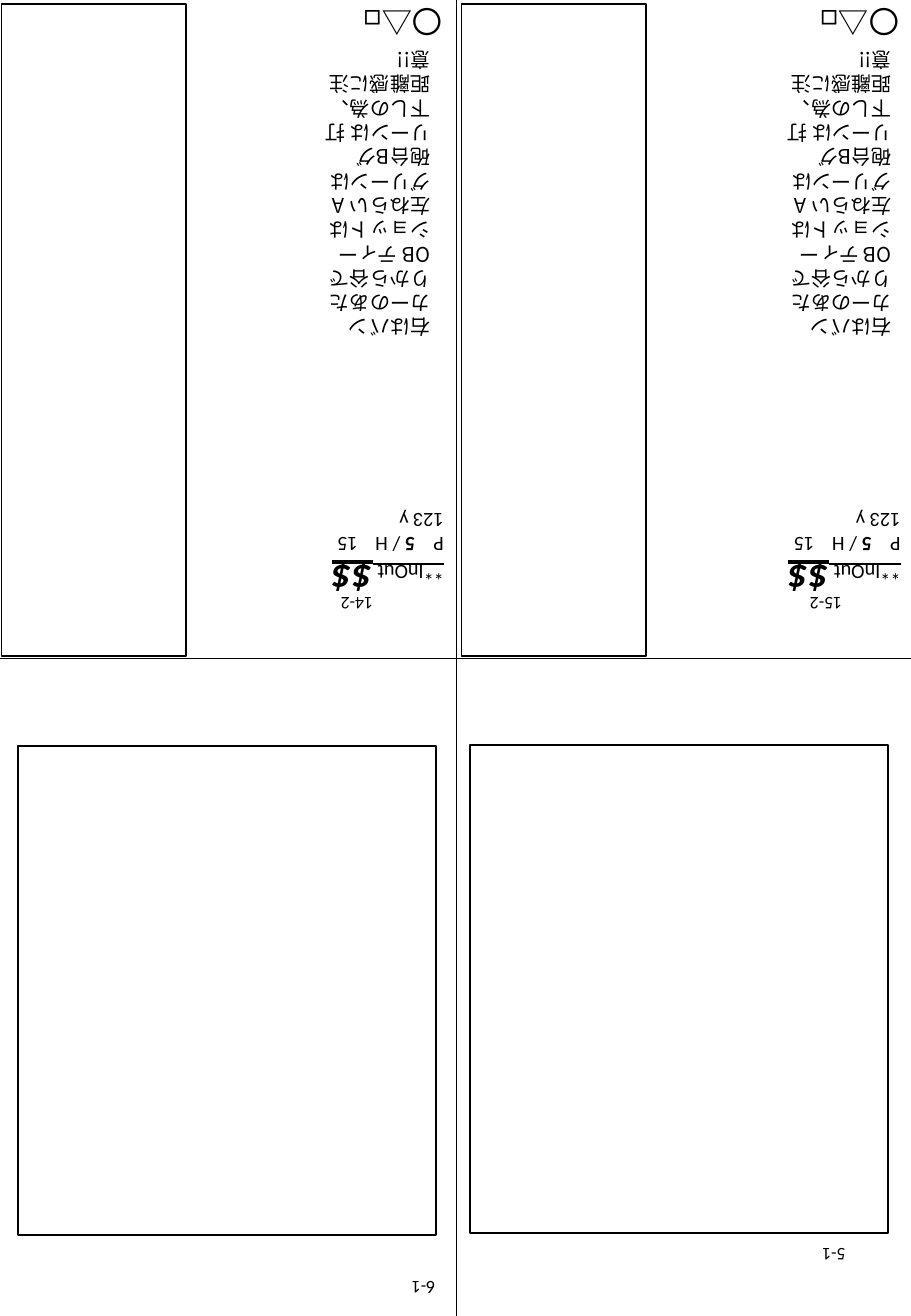
"""Build a folded golf yardage sheet with four panels."""
from lxml import etree
from pptx import Presentation
from pptx.dml.color import RGBColor
from pptx.enum.shapes import MSO_CONNECTOR, MSO_SHAPE
from pptx.enum.text import MSO_ANCHOR
from pptx.oxml.ns import qn
from pptx.util import Cm, Pt

BLACK = RGBColor(0, 0, 0)
WHITE = RGBColor(255, 255, 255)
LATIN_FONT = "Calibri"
JAPANESE_FONT = "Noto Sans CJK JP"
PAGE_WIDTH, PAGE_HEIGHT = 19.05, 27.51
FOLD_X, FOLD_Y = 9.55, 13.77
ADVICE = ("右はバンカーのあたりから谷でOB ティーショットは左ねらい A"
          "グリーンは砲台Bグリーンは 打下しの為、距離感に注意!!")

deck = Presentation()
deck.slide_width, deck.slide_height = Cm(PAGE_WIDTH), Cm(PAGE_HEIGHT)
page = deck.slides.add_slide(deck.slide_layouts[6])


def add_flipped_text(right, top, width, height, anchor=MSO_ANCHOR.TOP):
    """Add an upside-down text box whose reading starts at its right edge."""
    box = page.shapes.add_textbox(Cm(right - width), Cm(top), Cm(width), Cm(height))
    box.rotation = 180
    box.text_frame.word_wrap = True
    box.text_frame.vertical_anchor = anchor
    return box.text_frame


def add_span(para, text, size, font=LATIN_FONT, bold=False):
    """Add a black run to a paragraph."""
    span = para.add_run()
    span.text = text
    span.font.size, span.font.name, span.font.bold = Pt(size), font, bold
    span.font.color.rgb = BLACK
    etree.SubElement(span.font._element, qn("a:ea"), typeface=font)
    return span


for start_x, start_y, end_x, end_y in [(0, FOLD_Y, PAGE_WIDTH, FOLD_Y),
                                       (FOLD_X, 0, FOLD_X, PAGE_HEIGHT)]:
    fold = page.shapes.add_connector(MSO_CONNECTOR.STRAIGHT, Cm(start_x), Cm(start_y),
                                     Cm(end_x), Cm(end_y))
    fold.line.color.rgb = BLACK
    fold.line.width = Pt(0.5)
    etree.SubElement(fold._element.spPr, qn("a:effectLst"))

for left, top, width, height in [(0.03, 0.08, 3.86, 13.64), (9.65, 0.08, 3.86, 13.64),
                                 (0.38, 15.6, 8.74, 10.21), (9.83, 15.57, 8.74, 10.21)]:
    frame = page.shapes.add_shape(MSO_SHAPE.FLOWCHART_PROCESS, Cm(left), Cm(top),
                                  Cm(width), Cm(height))
    frame.rotation = 180
    frame.shadow.inherit = False
    frame.fill.solid()
    frame.fill.fore_color.rgb = WHITE
    frame.line.color.rgb = BLACK
    frame.line.width = Pt(1)

for label, right, top in [("14-2", 8.05, 12.27), ("15-2", 17.86, 12.27),
                          ("6-1", 9.35, 26.57), ("5-1", 17.93, 25.88)]:
    add_span(add_flipped_text(right, top, 1.5, 0.71).paragraphs[0], label, 10.5)

for notes_right, advice_right, symbols_right in [(9.53, 9.25, 9.5), (19.08, 18.9, 19.05)]:
    notes = add_flipped_text(notes_right, 10.52, 4.47, 2.31, MSO_ANCHOR.BOTTOM)
    heading = notes.paragraphs[0]
    add_span(heading, "**InOut ", 12).font.underline = True
    mark = add_span(heading, "$$", 24, bold=True)
    mark.font.italic = mark.font.underline = True
    par_line = notes.add_paragraph()
    tabs = etree.SubElement(par_line._p.get_or_add_pPr(), qn("a:tabLst"))
    for stop in (0.6, 1.8):
        etree.SubElement(tabs, qn("a:tab"), pos=str(Cm(stop)), algn="l")
    add_span(par_line, "P\t", 12)
    add_span(par_line, "5 ", 12, bold=True)
    add_span(par_line, "/ H\t15", 12)
    add_span(notes.add_paragraph(), "123 y", 12)

    advice = add_flipped_text(advice_right, 0.89, 2.8, 5.72, MSO_ANCHOR.BOTTOM).paragraphs[0]
    advice.line_spacing = Pt(14.4)
    add_span(advice, ADVICE, 12, JAPANESE_FONT)

    symbols = add_flipped_text(symbols_right, -0.05, 2.8, 1.02).paragraphs[0]
    add_span(symbols, "〇△□", 18)

deck.save("out.pptx")
